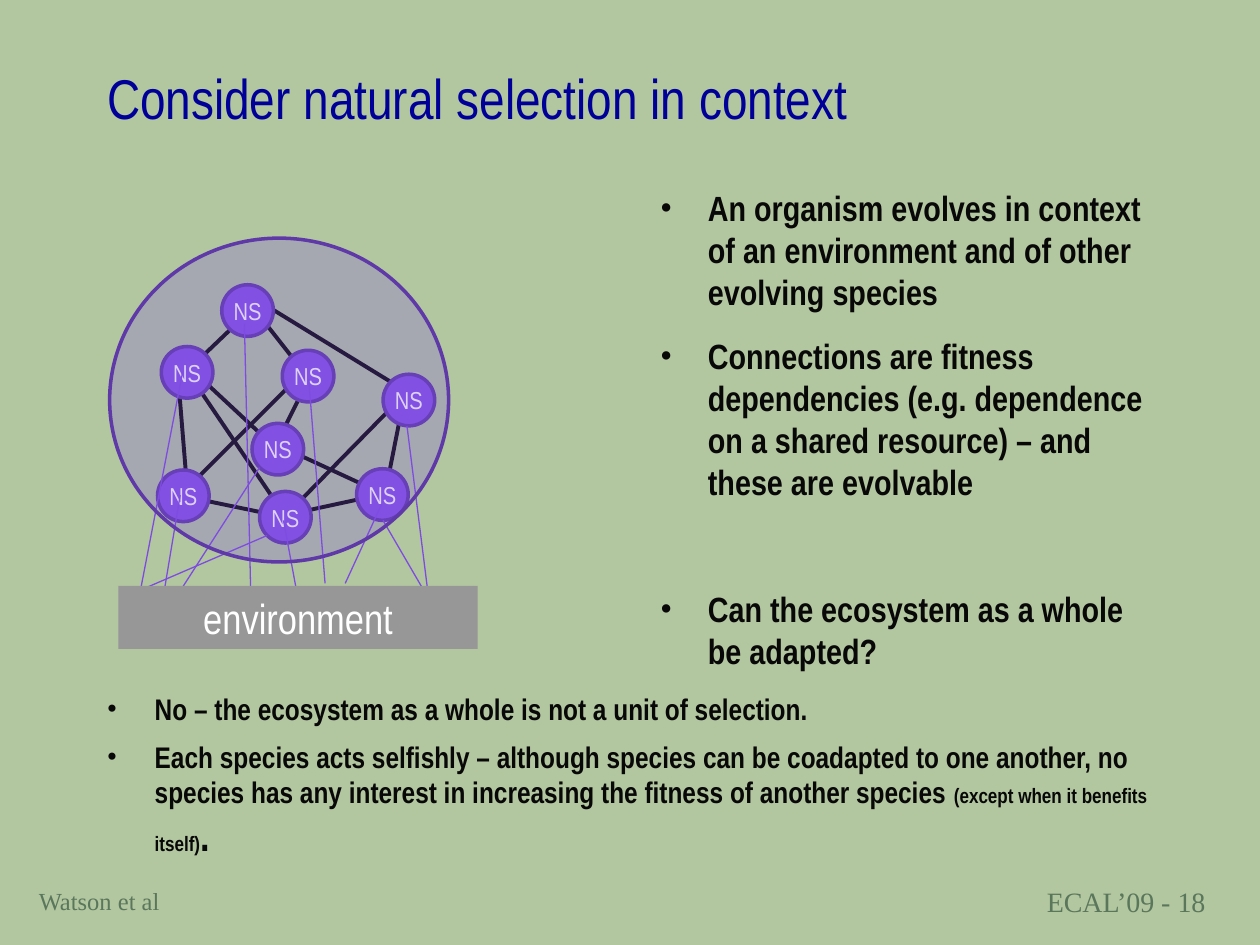
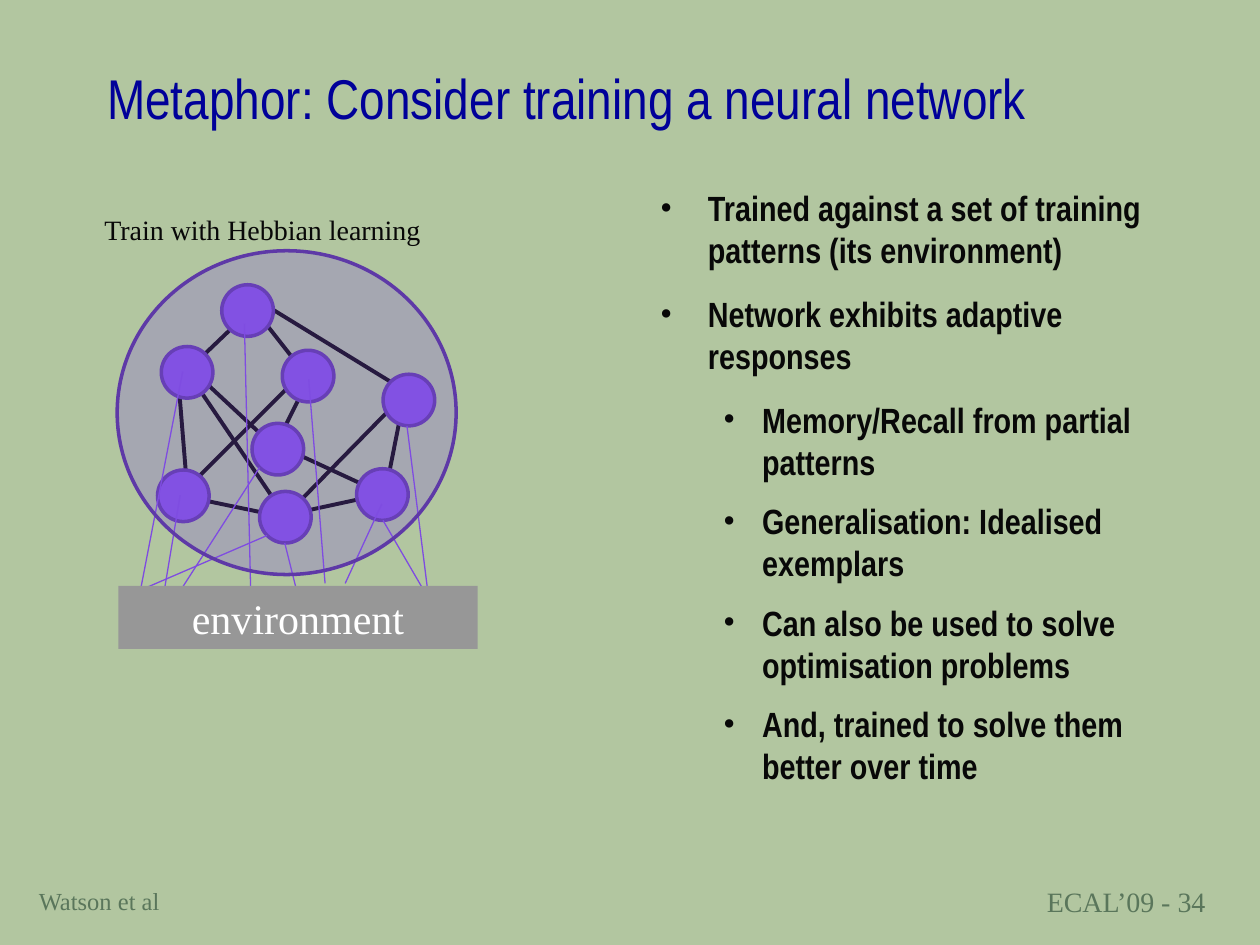
from lxml import etree
from pptx import Presentation
from pptx.dml.color import RGBColor
from pptx.enum.shapes import MSO_CONNECTOR, MSO_SHAPE
from pptx.enum.text import MSO_ANCHOR, MSO_AUTO_SIZE, PP_ALIGN
from pptx.oxml.ns import qn
from pptx.util import Inches, Pt

STRAIGHT = MSO_CONNECTOR.STRAIGHT
OVAL, RECTANGLE = MSO_SHAPE.OVAL, MSO_SHAPE.RECTANGLE
MIDDLE, TOP = MSO_ANCHOR.MIDDLE, MSO_ANCHOR.TOP
CENTER, LEFT = PP_ALIGN.CENTER, PP_ALIGN.LEFT
NO_AUTOFIT = MSO_AUTO_SIZE.NONE

COLORS = {
    "background": "B2C6A0", "title": "000099", "footer": "5A765B",
    "ink": "080808", "white": "FFFFFF", "node": "8251E3",
    "rim": "5E39A7", "feed": "7E4BE1", "environment": "979797",
}
RGB = {name: RGBColor.from_string(value) for name, value in COLORS.items()}
NARROW, SERIF = "Arial Narrow", "Times New Roman"

prs = Presentation()
prs.slide_width, prs.slide_height = Inches(10), Inches(7.5)
COLUMN, ROW = prs.slide_width / 100, prs.slide_height / 75

background = prs.slide_master.background.fill
background.solid()
background.fore_color.rgb = RGB["background"]


def grid(x, y, *rest):
    return [round(n * unit) for n, unit in zip((x, y, *rest), (COLUMN, ROW) * 2)]


def write(paragraph, text, size, font, color, bold=False):
    run = paragraph.add_run()
    run.text = text
    run.font.size, run.font.name, run.font.bold = Pt(size), font, bold
    run.font.color.rgb = RGB[color]


NODE_SIZE = 4.1
NODES = [(12.8, 27.5), (12.5, 37.3), (20, 33.6), (20.6, 39), (22.4, 27.8),
         (28.3, 37.2), (30.4, 29.7), (17.6, 22.6)]
LINKS = [
    (22.6, 40.9, 30, 39.3), (14.8, 29.4, 22.8, 41.2), (15.6, 29.7, 21.5, 35.2),
    (15.1, 29.2, 19.6, 24.9), (14.9, 39.3, 14.1, 29.5), (21.5, 36.1, 24.6, 29.9),
    (14.2, 39.3, 22.4, 41), (20, 24.3, 24.4, 29.9), (30.2, 39.1, 22.2, 35.4),
    (32.2, 30.9, 30.6, 39), (14.7, 38.9, 23.8, 29.8), (22.3, 41.3, 32.5, 30.9),
    (21.7, 24.6, 31, 30.3),
]
FEEDS = [
    (33.6, 46.8, 30.4, 41.3), (11.1, 47.1, 14.5, 29.5), (11, 46.9, 21.2, 42.5),
    (13, 47.1, 14.3, 39.3), (14.3, 46.9, 20.6, 37.1), (27.4, 46.3, 30.3, 40),
    (25.8, 46.3, 24.5, 30.1), (19.9, 47, 19.4, 25.7), (33.9, 46.5, 32.3, 33.8),
]
SIDE_BOX, LOWER_BOX = (51.4, 14.3, 41.1, 54.9), (7.5, 54.3, 85, 14.9)

BULLET_STYLES = {
    "main": dict(level=0, margin=0.38, hang=0.38, before=5, after=7.5),
    "question": dict(level=0, margin=0.38, hang=0.38, before=41, after=7.5),
    "sub": dict(level=1, margin=0.81, hang=0.31, before=5, after=5),
    "answer": dict(level=0, margin=0.38, hang=0.38, before=3, after=4),
}

SLIDES = [
    dict(
        title="Consider natural selection in context", number=18,
        node_label="NS", system=(8.7, 18.9), environment_font=NARROW,
        bottom_feed=(23.5, 46.7, 22.5, 41.3), caption=None,
        bullets=[
            (SIDE_BOX, [
                ("main", [("An organism evolves in context of an environment and of other evolving species", 20)]),
                ("main", [("Connections are fitness dependencies (e.g. dependence on a shared resource) – and these are evolvable", 20)]),
                ("question", [("Can the ecosystem as a whole be adapted?", 20)]),
            ]),
            (LOWER_BOX, [
                ("answer", [("No – the ecosystem as a whole is not a unit of selection.", 17)]),
                ("answer", [
                    ("Each species acts selfishly – although species can be coadapted to one another, no species has any interest in increasing the fitness of another species ", 17),
                    ("(except when it benefits itself)", 11.9), (".", 23.8)]),
            ]),
        ],
    ),
    dict(
        title="Metaphor: Consider training a neural network", number=34,
        node_label="", system=(9.3, 19.9), environment_font=SERIF,
        bottom_feed=(23.5, 46.7, 22.6, 43.1), caption="Train with Hebbian learning",
        bullets=[
            (SIDE_BOX, [
                ("main", [("Trained against a set of training patterns (its environment)", 20)]),
                ("main", [("Network exhibits adaptive responses", 20)]),
                ("sub", [("Memory/Recall from partial patterns", 20)]),
                ("sub", [("Generalisation: Idealised exemplars", 20)]),
                ("sub", [("Can also be used to solve optimisation problems", 20)]),
                ("sub", [("And, trained to solve them better over time", 20)]),
            ]),
        ],
    ),
]

for content in SLIDES:
    slide = prs.slides.add_slide(prs.slide_layouts[5])
    shapes = slide.shapes

    title = shapes.title
    title.left, title.top, title.width, title.height = grid(7.5, 4.1, 85, 7.3)
    title.text_frame.auto_size = NO_AUTOFIT
    title.text_frame.vertical_anchor = MIDDLE
    title.text_frame.paragraphs[0].alignment = LEFT
    write(title.text_frame.paragraphs[0], content["title"], 32, NARROW, "title")

    labels = [
        ((82.1, 69.7, 14.6, 3.6), f"ECAL’09 - {content['number']}", 16, "footer"),
        ((2.1, 69.8, 11.7, 3.4), "Watson et al", 14, "footer"),
    ]
    if content["caption"]:
        labels.append(((7.3, 16.4, 27.2, 3.7), content["caption"], 16, "ink"))
    for place, text, size, color in labels:
        label = shapes.add_textbox(*grid(*place))
        label.text_frame.word_wrap = False
        write(label.text_frame.paragraphs[0], text, size, SERIF, color)

    network = [(OVAL, (*node, NODE_SIZE, NODE_SIZE), "node") for node in NODES]
    system = (OVAL, (*content["system"], 26.9, 25.7), "node")
    environment = (RECTANGLE, (9.4, 46.5, 28.5, 5), "environment")
    links = [(None, ends, "ink") for ends in LINKS]
    feeds = [(None, ends, "feed") for ends in [*FEEDS, content["bottom_feed"]]]

    for part in [*links, *network, *feeds, system, environment]:
        outline, place, color = part
        if outline is None:
            line = shapes.add_connector(STRAIGHT, *grid(*place))
            line.line.color.rgb = RGB[color]
            line.line.width = Pt(2.25 if color == "ink" else 0.75)
            etree.SubElement(line._element.spPr, qn("a:effectLst"))
            continue
        shape = shapes.add_shape(outline, *grid(*place))
        shape.shadow.inherit = False
        shape.fill.solid()
        shape.fill.fore_color.rgb = RGB[color]
        frame = shape.text_frame
        frame.paragraphs[0].alignment = CENTER
        if part is environment:
            shape.line.fill.background()
            frame.vertical_anchor = TOP
            write(frame.paragraphs[0], "environment", 24, content["environment_font"], "white")
            continue
        shape.line.color.rgb = RGB["rim"]
        shape.line.width = Pt(2)
        if part is system:
            tint = shape.fill._xPr.find(qn("a:solidFill"))[0]
            etree.SubElement(tint, qn("a:alpha"), val="26000")
        elif content["node_label"]:
            frame.margin_left = frame.margin_right = frame.margin_top = frame.margin_bottom = 0
            frame.vertical_anchor = MIDDLE
            write(frame.paragraphs[0], content["node_label"], 14, NARROW, "white")

    for place, points in content["bullets"]:
        frame = shapes.add_textbox(*grid(*place)).text_frame
        frame.word_wrap = True
        for index, (style_name, pieces) in enumerate(points):
            style = BULLET_STYLES[style_name]
            point = frame.add_paragraph() if index else frame.paragraphs[0]
            point.level = style["level"]
            properties = point._p.get_or_add_pPr()
            properties.set("marL", str(Inches(style["margin"])))
            properties.set("indent", str(-Inches(style["hang"])))
            bullet_color = etree.SubElement(properties, qn("a:buClr"))
            etree.SubElement(bullet_color, qn("a:srgbClr"), val=COLORS["ink"])
            etree.SubElement(properties, qn("a:buFont"), typeface=SERIF)
            etree.SubElement(properties, qn("a:buChar"), char="•")
            point.space_before = Pt(style["before"] if index else 0)
            point.space_after = Pt(style["after"])
            for text, size in pieces:
                write(point, text, size, NARROW, "ink", bold=True)

prs.save("out.pptx")
